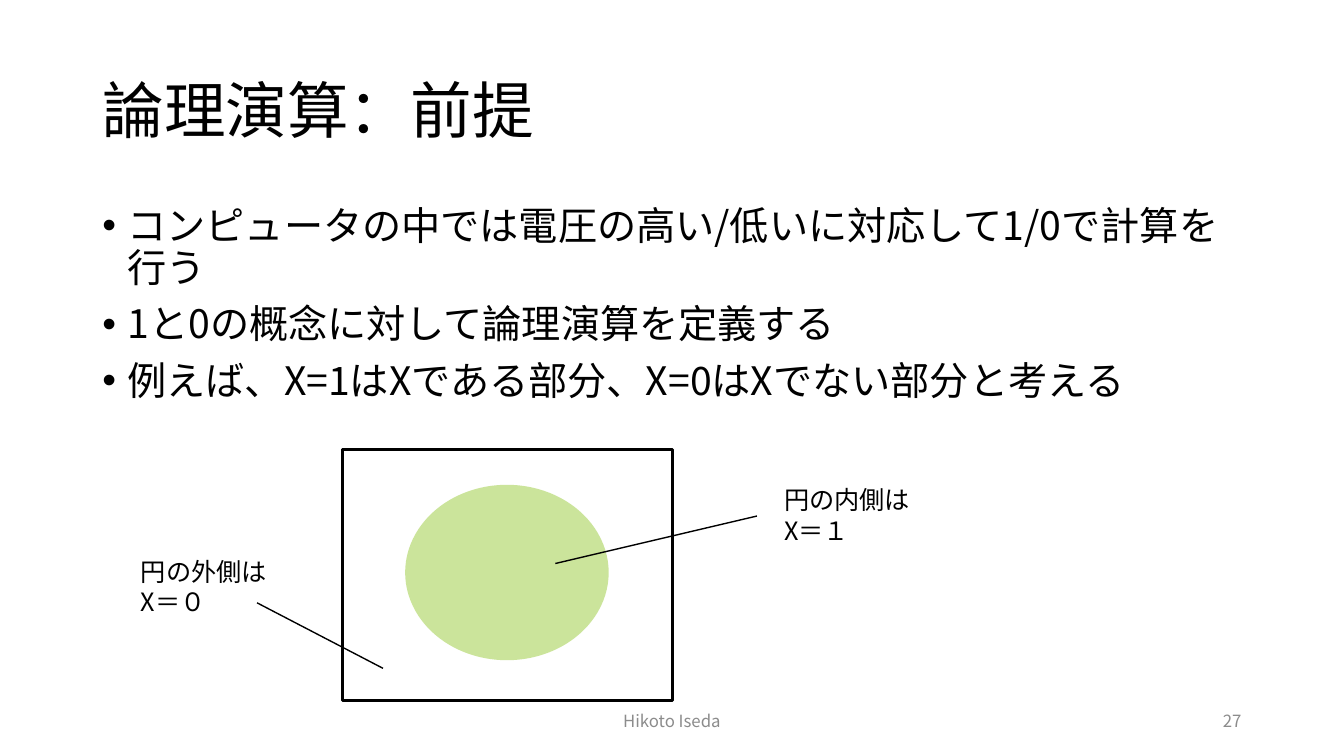
from dataclasses import dataclass

import lxml.etree
import pptx
import pptx.dml.color
import pptx.enum.shapes
import pptx.enum.text
import pptx.oxml.ns
import pptx.util

Pt = pptx.util.Pt
qn = pptx.oxml.ns.qn
Align = pptx.enum.text.PP_ALIGN
Anchor = pptx.enum.text.MSO_ANCHOR
Shape = pptx.enum.shapes.MSO_SHAPE
FONT = "Noto Sans CJK JP"
BLACK = "000000"
GREY = "8C8C8C"
GREEN = "99CB38"


@dataclass
class Box:
    x: float
    y: float
    w: float
    h: float


@dataclass
class Label:
    lines: list[str]
    box: Box
    start: tuple[float, float]
    end: tuple[float, float]


def color(code: str) -> pptx.dml.color.RGBColor:
    return pptx.dml.color.RGBColor.from_string(code)


def place(box: Box) -> list[int]:
    return [Pt(box.x), Pt(box.y), Pt(box.w), Pt(box.h)]


def write(shape, lines: list[str], size: float, ink: str = BLACK, align=Align.LEFT,
          anchor=Anchor.TOP, wrap: bool = True, grow: bool = False,
          lead: float = 1.0, gap: float = 0, bullet: str = "") -> None:
    frame = shape.text_frame
    frame.text = "\n".join(lines)
    frame.word_wrap = wrap
    frame.vertical_anchor = anchor
    kinds = pptx.enum.text.MSO_AUTO_SIZE
    frame.auto_size = kinds.SHAPE_TO_FIT_TEXT if grow else kinds.NONE
    for index, para in enumerate(frame.paragraphs):
        if bullet:
            props = para._p.get_or_add_pPr()
            props.set("marL", str(Pt(18)))
            props.set("indent", str(-Pt(18)))
            face = lxml.etree.SubElement(props, qn("a:buFont"))
            face.set("typeface", "Arial")
            mark = lxml.etree.SubElement(props, qn("a:buChar"))
            mark.set("char", bullet)
        para.alignment = align
        para.line_spacing = lead
        para.space_before = Pt(gap if index else 0)
        for run in para.runs:
            run.font.size = Pt(size)
            run.font.name = FONT
            run.font.color.rgb = color(ink)
            east = lxml.etree.SubElement(run._r.get_or_add_rPr(), qn("a:ea"))
            east.set("typeface", FONT)


def text(slide, lines: list[str], box: Box, **form) -> None:
    write(slide.shapes.add_textbox(*place(box)), lines, **form)


def draw(slide, kind, box: Box):
    shape = slide.shapes.add_shape(kind, *place(box))
    shape.shadow.inherit = False
    return shape


def point(slide, label: Label) -> None:
    ends = [Pt(value) for value in (*label.start, *label.end)]
    line = slide.shapes.add_connector(
        pptx.enum.shapes.MSO_CONNECTOR.STRAIGHT, *ends)
    line.line.color.rgb = color(BLACK)
    line.line.width = Pt(1)
    lxml.etree.SubElement(line._element.spPr, qn("a:effectLst"))


def main() -> None:
    deck = pptx.Presentation()
    deck.slide_width, deck.slide_height = Pt(960), Pt(540)
    slide = deck.slides.add_slide(deck.slide_layouts[5])

    title = slide.shapes.title
    title.left, title.top, title.width, title.height = place(Box(66, 28.75, 828, 104.4))
    write(title, ["論理演算：前提"], size=44, anchor=Anchor.MIDDLE, lead=0.9)

    points = [
        "コンピュータの中では電圧の高い/低いに対応して1/0で計算を行う",
        "1と0の概念に対して論理演算を定義する",
        "例えば、X=1はXである部分、X=0はXでない部分と考える",
    ]
    text(slide, points, Box(66, 143.75, 828, 342.6),
         size=28, lead=0.9, gap=10, bullet="•")

    text(slide, ["Hikoto Iseda"], Box(318, 500.5, 324, 28.75),
         size=12, ink=GREY, align=Align.CENTER, anchor=Anchor.MIDDLE)
    text(slide, ["27"], Box(678, 500.5, 216, 28.75),
         size=12, ink=GREY, align=Align.RIGHT, anchor=Anchor.MIDDLE)

    frame = draw(slide, Shape.RECTANGLE, Box(244.4, 321.3, 236.2, 179.2))
    frame.fill.background()
    frame.line.color.rgb = color(BLACK)
    frame.line.width = Pt(2.25)

    disc = draw(slide, Shape.OVAL, Box(289.4, 346.3, 145.4, 125.3))
    disc.fill.solid()
    disc.fill.fore_color.rgb = color(GREEN)
    tint = disc._element.spPr.find(qn("a:solidFill"))[0]
    lxml.etree.SubElement(tint, qn("a:alpha")).set("val", "50000")
    disc.line.fill.background()

    labels = [
        Label(["円の内側は", "X＝１"], Box(553, 342.7, 105.1, 51),
              (396.7, 402.5), (540.7, 368.6)),
        Label(["円の外側は", "X＝０"], Box(93.6, 393.8, 105.1, 51),
              (183.6, 430.6), (273.6, 477.4)),
    ]
    for label in labels:
        point(slide, label)
        text(slide, label.lines, label.box, size=18, wrap=False, grow=True)

    deck.save("out.pptx")


if __name__ == "__main__":
    main()
